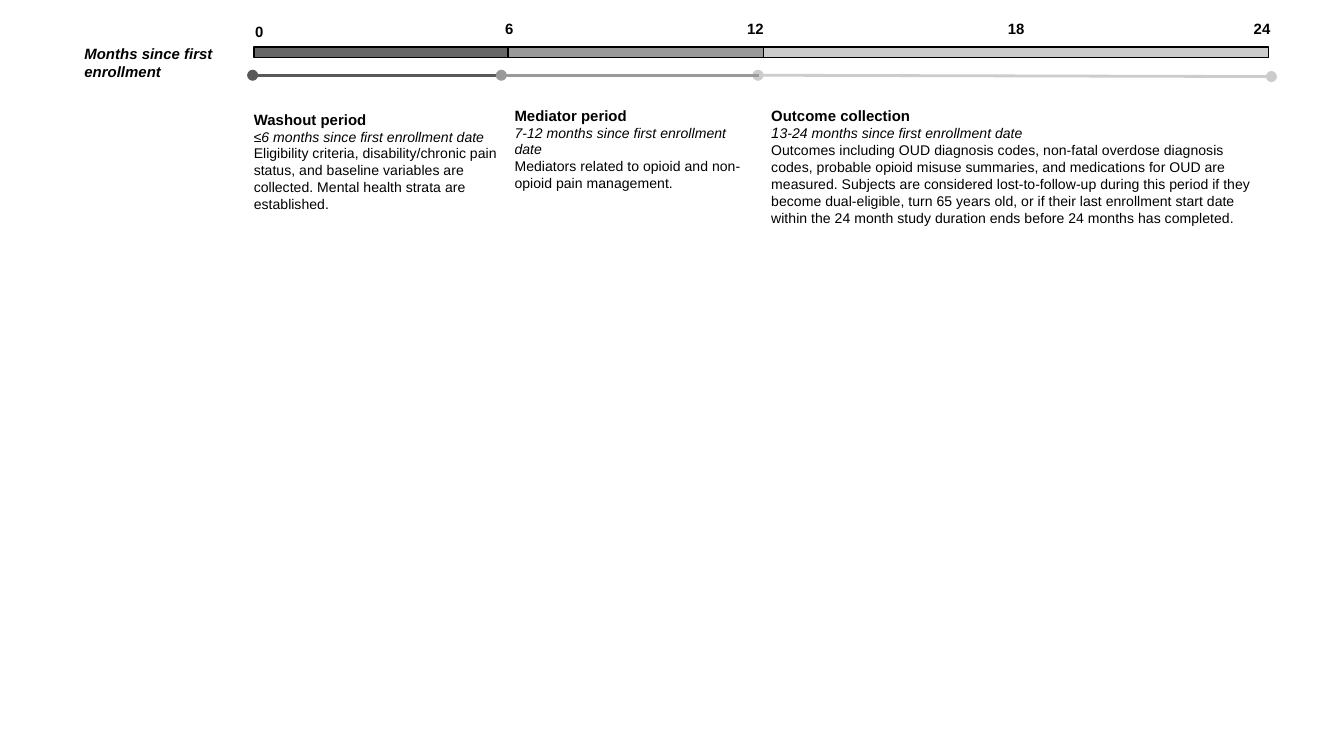
import pptx
import pptx.dml.color
import pptx.enum.shapes
import pptx.enum.text
import pptx.oxml.ns
import pptx.util
from lxml import etree
from pptx.util import Inches

FONT = "Arial"
COLORS = {
    "text": "000000",
    "outline": "000000",
    "washout_bar": "666666",
    "washout_line": "595959",
    "mediator": "999999",
    "outcome": "CCCCCC",
}
BAR_TOP, BAR_HEIGHT = 0.35, 0.08
LINE_TOP = 0.56
MONTH_WIDTH = 0.42
TITLE_SIZE, BODY_SIZE = 8, 7.5

# left, width, colour
BARS = [
    (1.89, 1.9, "washout_bar"),
    (3.78, 5.66, "outcome"),
    (3.78, 1.9, "mediator"),
]
# start x, end x, end y, colour, ends with a dot
PERIOD_LINES = [
    (1.88, 3.79, LINE_TOP, "washout_line", ("headEnd",)),
    (5.64, 9.46, 0.57, "outcome", ("headEnd", "tailEnd")),
    (3.73, 5.65, LINE_TOP, "mediator", ("headEnd",)),
]
# month, left, top, height
MONTHS = [
    ("0", 1.8, 0.07, 0.34),
    ("6", 3.66, 0.05, 0.39),
    ("12", 5.46, 0.05, 0.39),
    ("18", 7.4, 0.05, 0.39),
    ("24", 9.23, 0.05, 0.39),
]
# box, title, time span as (text, size) runs, description
PERIODS = [
    ((1.79, 0.72, 2.04, 0.97), "Washout period",
     [("≤6 months since first enrollment date", BODY_SIZE)],
     "Eligibility criteria, disability/chronic pain status, and baseline "
     "variables are collected. Mental health strata are established."),
    ((5.64, 0.69, 3.86, 1.1), "Outcome collection",
     [("1", TITLE_SIZE), ("3-24 months since first enrollment date", BODY_SIZE)],
     "Outcomes including OUD diagnosis codes, non-fatal overdose diagnosis "
     "codes, probable opioid misuse summaries, and medications for OUD are "
     "measured. Subjects are considered lost-to-follow-up during this period "
     "if they become dual-eligible, turn 65 years old, or if their last "
     "enrollment start date within the 24 month study duration ends before "
     "24 months has completed."),
    ((3.73, 0.69, 1.99, 0.72), "Mediator period",
     [("7-12 months since first enrollment date", BODY_SIZE)],
     "Mediators related to opioid and non-opioid pain management."),
]


def color(name):
    return pptx.dml.color.RGBColor.from_string(COLORS[name])


def add_bar(slide, left, width, fill):
    bar = slide.shapes.add_shape(
        pptx.enum.shapes.MSO_SHAPE.RECTANGLE,
        Inches(left), Inches(BAR_TOP), Inches(width), Inches(BAR_HEIGHT))
    bar.shadow.inherit = False
    bar.fill.solid()
    bar.fill.fore_color.rgb = color(fill)
    bar.line.color.rgb = color("outline")
    bar.line.width = pptx.util.Pt(0.75)


def add_period_line(slide, start_x, end_x, end_y, line_color, dotted_ends):
    connector = slide.shapes.add_connector(
        pptx.enum.shapes.MSO_CONNECTOR.STRAIGHT,
        Inches(start_x), Inches(LINE_TOP), Inches(end_x), Inches(end_y))
    connector.line.color.rgb = color(line_color)
    connector.line.width = pptx.util.Pt(1.5)
    properties = connector._element.spPr
    line = properties.find(pptx.oxml.ns.qn("a:ln"))
    for end in dotted_ends:
        etree.SubElement(line, pptx.oxml.ns.qn(f"a:{end}"), type="oval")
    etree.SubElement(properties, pptx.oxml.ns.qn("a:effectLst"))


def add_text(slide, box, paragraphs):
    """Add a text box; a paragraph is a list of (text, size, bold, italic)."""
    shape = slide.shapes.add_textbox(*(Inches(length) for length in box))
    frame = shape.text_frame
    frame.word_wrap = True
    frame.margin_left = frame.margin_right = Inches(0.1)
    frame.margin_top = frame.margin_bottom = Inches(0.1)
    for index, runs in enumerate(paragraphs):
        paragraph = frame.add_paragraph() if index else frame.paragraphs[0]
        for text, size, bold, italic in runs:
            run = paragraph.add_run()
            run.text = text
            run.font.name = FONT
            run.font.size = pptx.util.Pt(size)
            run.font.bold = bold
            run.font.italic = italic
            run.font.color.rgb = color("text")
    return frame


def add_month(slide, month, left, top, height):
    frame = add_text(slide, (left, top, MONTH_WIDTH, height),
                     [[(month, TITLE_SIZE, True, False)]])
    frame.margin_top, frame.margin_bottom = Inches(0.13), Inches(0.07)


def add_period(slide, box, title, span, description):
    frame = add_text(slide, box, [
        [(title, TITLE_SIZE, True, False)],
        [(text, size, False, True) for text, size in span],
        [(description, BODY_SIZE, False, False)],
    ])
    frame.auto_size = pptx.enum.text.MSO_AUTO_SIZE.SHAPE_TO_FIT_TEXT


def main():
    presentation = pptx.Presentation()
    presentation.slide_width = Inches(10)
    presentation.slide_height = Inches(10) * 9 // 16
    slide = presentation.slides.add_slide(presentation.slide_layouts[6])

    for bar in BARS:
        add_bar(slide, *bar)
    for period_line in PERIOD_LINES:
        add_period_line(slide, *period_line)
    add_text(slide, (0.53, 0.23, 1.27, 0.47),
             [[("Months since first enrollment", TITLE_SIZE, True, True)]])
    for month in MONTHS:
        add_month(slide, *month)
    for period in PERIODS:
        add_period(slide, *period)

    presentation.save("out.pptx")


if __name__ == "__main__":
    main()
